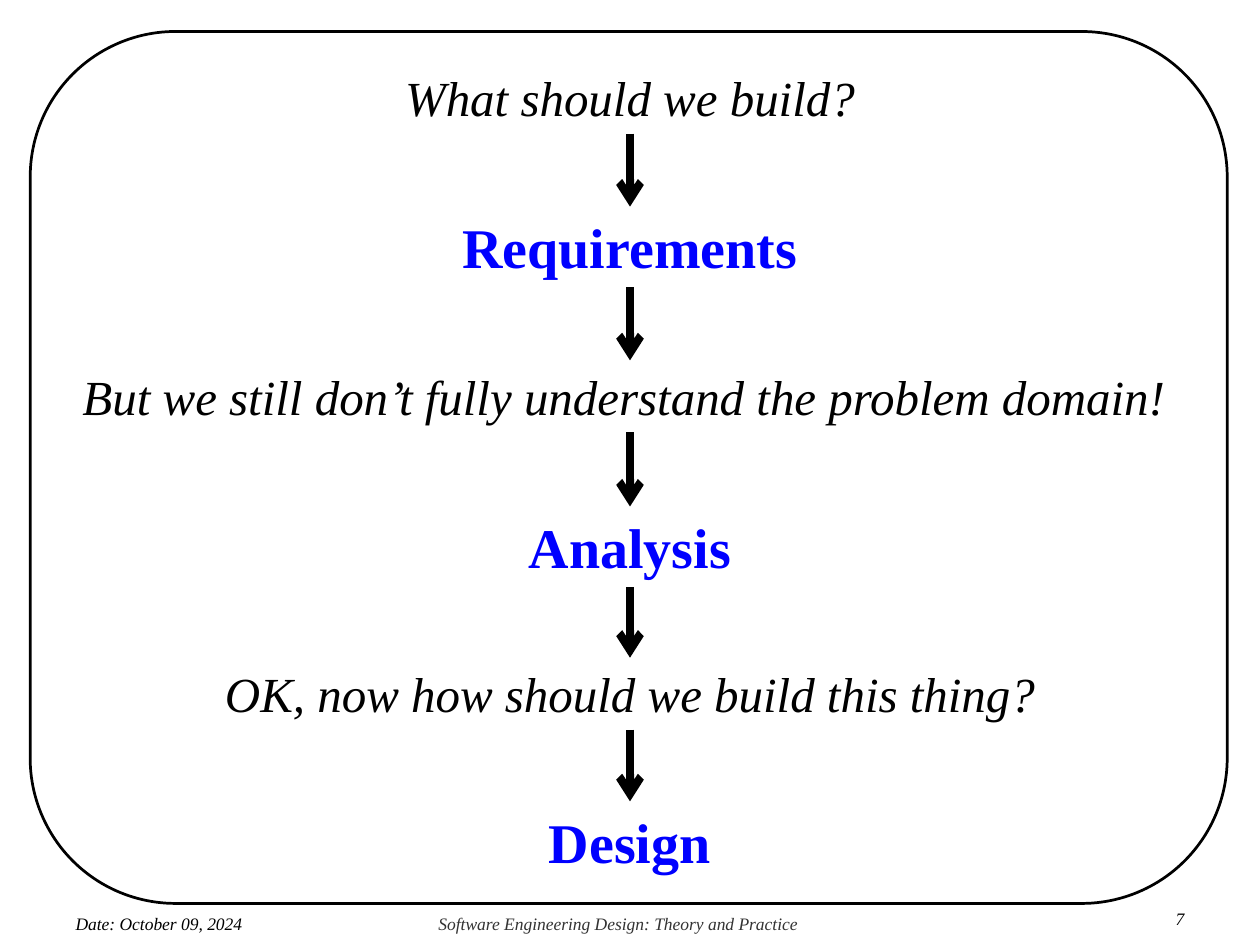
from itertools import pairwise

from lxml import etree
from pptx import Presentation
from pptx import util as u
from pptx.dml.color import RGBColor
from pptx.enum import shapes, text
from pptx.oxml.ns import qn

BLACK = RGBColor(0x00, 0x00, 0x00)
GRAY = RGBColor(0x33, 0x33, 0x33)
BLUE = RGBColor(0x00, 0x00, 0xFF)
FONT = "Times New Roman"
WIDTH, HEIGHT = 10, 7.5

# Content: chain of questions and phases (kind, top, text)
STEPS = [
    ("question", 0.49, "What should we build?"),
    ("phase", 1.64, "Requirements"),
    ("question", 2.86, "But we still don’t fully understand the problem domain! "),
    ("phase", 4.02, "Analysis"),
    ("question", 5.22, "OK, now how should we build this thing?"),
    ("phase", 6.36, "Design"),
]
BOX_HEIGHTS = {"question": 0.57, "phase": 0.64}
STYLES = {
    "question": dict(size=28, color=BLACK, italic=True),
    "phase": dict(size=32, color=BLUE, bold=True),
}

# Footer: (left, top, width, text, color)
FOOTER = [
    (0.6, 7.25, 1.58, "Date: October 09, 2024", BLACK),
    (3.48, 7.25, 2.89, "Software Engineering Design: Theory and Practice", GRAY),
    (9.33, 7.21, 0.13, "7", BLACK),
]

presentation = Presentation()
presentation.slide_width = u.Inches(WIDTH)
presentation.slide_height = u.Inches(HEIGHT)
slide = presentation.slides.add_slide(presentation.slide_layouts[6])


def add_text(content, left, top, width, height, size, color, bold=False,
             italic=False, align=text.PP_ALIGN.CENTER, margins=(0.1, 0.05),
             line_spacing=None):
    box = slide.shapes.add_textbox(*map(u.Inches, (left, top, width, height)))
    frame = box.text_frame
    frame.word_wrap = True
    frame.margin_left = frame.margin_right = u.Inches(margins[0])
    frame.margin_top = frame.margin_bottom = u.Inches(margins[1])
    paragraph = frame.paragraphs[0]
    paragraph.alignment = align
    if line_spacing:
        paragraph.line_spacing = u.Pt(line_spacing)
    run = paragraph.add_run()
    run.text = content
    run.font.name = FONT
    run.font.size = u.Pt(size)
    run.font.bold = bold
    run.font.italic = italic
    run.font.color.rgb = color


def add_down_arrow(x, start, end):
    arrow = slide.shapes.add_connector(
        shapes.MSO_CONNECTOR.STRAIGHT, *map(u.Inches, (x, start, x, end)))
    arrow.line.color.rgb = BLACK
    arrow.line.width = u.Pt(4.5)
    line = arrow.line._get_or_add_ln()
    etree.SubElement(line, qn("a:tailEnd"), type="arrow")
    etree.SubElement(arrow._element.spPr, qn("a:effectLst"))


# Rounded frame
frame_shape = slide.shapes.add_shape(
    shapes.MSO_SHAPE.ROUNDED_RECTANGLE, *map(u.Inches, (0.24, 0.25, 9.5, 6.92)))
frame_shape.shadow.inherit = False
frame_shape.fill.background()
frame_shape.line.color.rgb = BLACK
frame_shape.line.width = u.Pt(1.56)

# Footer
for left, top, width, content, color in FOOTER:
    add_text(content, left, top, width, 0.16, size=10, color=color, italic=True,
             align=text.PP_ALIGN.LEFT, margins=(0, 0), line_spacing=11.8)

# Steps, centred across the slide
for kind, top, content in STEPS:
    add_text(content, 0, top, WIDTH, BOX_HEIGHTS[kind], **STYLES[kind])

# Arrows from the bottom of each step to the top of the next
for (kind, top, _), (_, next_top, _) in pairwise(STEPS):
    add_down_arrow(WIDTH / 2, top + BOX_HEIGHTS[kind], next_top)

presentation.save("out.pptx")
